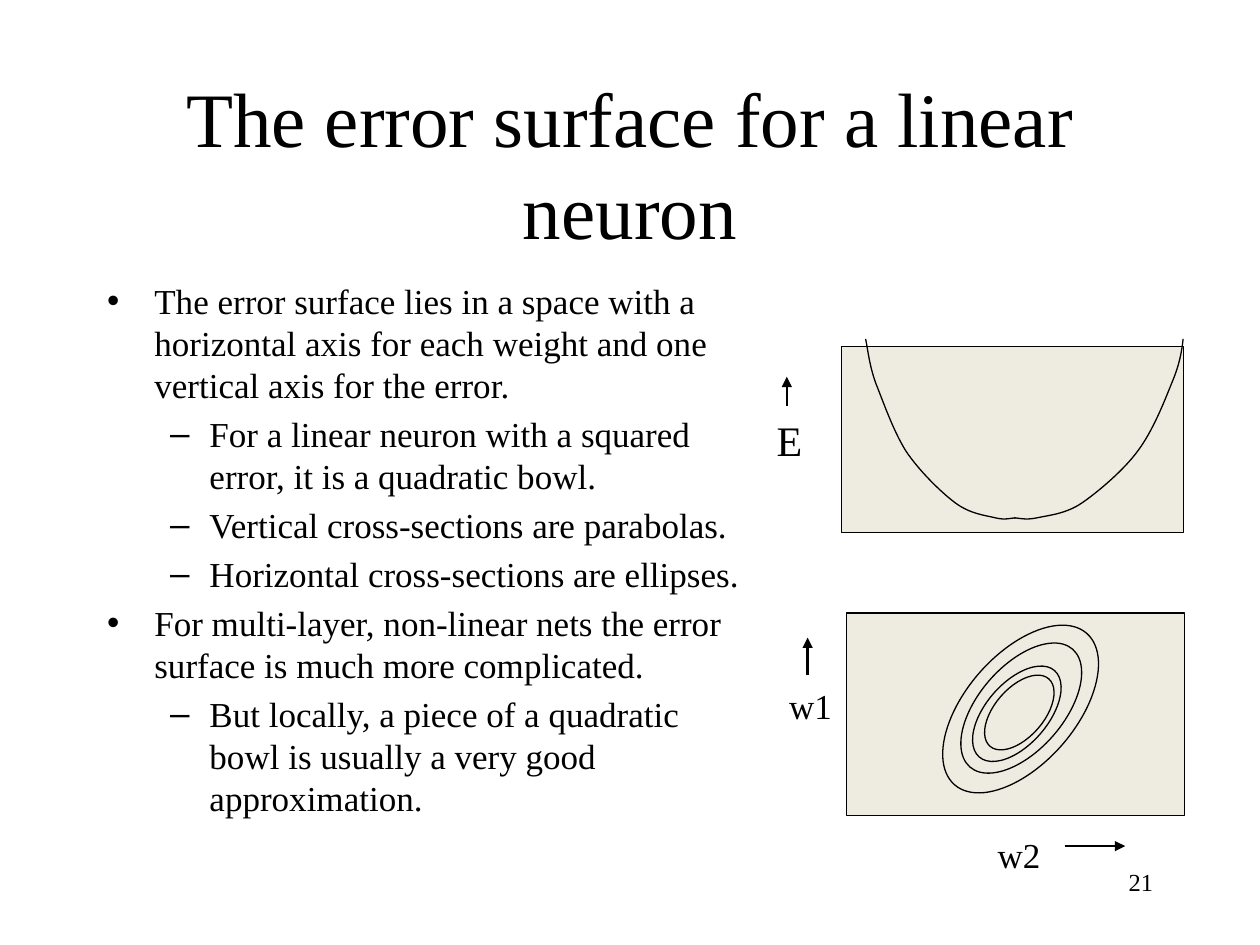
from dataclasses import dataclass
from typing import NamedTuple

from lxml.etree import SubElement
from pptx import Presentation
from pptx.dml.color import RGBColor
from pptx.enum.shapes import MSO_CONNECTOR, MSO_SHAPE
from pptx.enum.text import MSO_ANCHOR, MSO_AUTO_SIZE, PP_ALIGN
from pptx.oxml.ns import qn
from pptx.util import Inches, Pt


@dataclass(frozen=True)
class Theme:
    """Colours, font, type sizes and line widths of the slide."""
    font: str = "Times New Roman"
    ink: RGBColor = RGBColor(0, 0, 0)
    panel: RGBColor = RGBColor(0xEE, 0xEC, 0xE1)
    title: int = 44
    error_label: int = 24
    body: int = 20
    number: int = 14
    outline: float = 0.75
    arrow: float = 1.5


class Box(NamedTuple):
    """Left, top, width and height in grid columns and rows."""
    left: float
    top: float
    width: float
    height: float


class Label(NamedTuple):
    """A short axis label and its type size."""
    text: str
    box: Box
    size: int


class Arrow(NamedTuple):
    """Start and end of an axis arrow in grid columns and rows."""
    start: tuple[float, float]
    end: tuple[float, float]


THEME = Theme()
COLUMNS, ROWS = 100, 75
WIDTH, HEIGHT = Inches(10), Inches(7.5)
ELLIPSE_TILT = 41.1

BULLETS = [
    (0, "The error surface lies in a space with a horizontal axis for each weight and one vertical axis for the error."),
    (1, "For a linear neuron with a squared error, it is a quadratic bowl."),
    (1, "Vertical cross-sections are parabolas."),
    (1, "Horizontal cross-sections are ellipses."),
    (0, "For multi-layer, non-linear nets the error surface is much more complicated."),
    (1, "But locally, a piece of a quadratic bowl is usually a very good approximation."),
]
ERROR_PANEL = Box(66.8, 27.5, 27.15, 14.75)
WEIGHT_PANEL = Box(67.2, 48.65, 26.8, 16.1)
ELLIPSES = [Box(76.65, 48.3, 8.7, 15.95), Box(77.7, 50, 6.7, 12.4),
            Box(78.25, 52.1, 4.9, 9.1), Box(78.95, 53, 3.9, 7.1)]
ERROR_LABEL = Label("E", Box(60.65, 32.4, 4.3, 5), THEME.error_label)
WEIGHT_LABELS = [
    Label("w1", Box(61.65, 53.85, 5.7, 4.4), THEME.body),
    Label("w2", Box(78.2, 65.65, 5.7, 4.4), THEME.body),
]
ERROR_ARROW = Arrow((62.45, 32.2), (62.45, 29.9))
WEIGHT_ARROWS = [Arrow((64.1, 53.6), (64.1, 50.6)), Arrow((84.5, 67.15), (89.3, 67.15))]
CURVE_HEIGHTS = [26.9, 27.9, 29, 30.4, 31.9, 34.2, 35.8, 37.3, 39, 39.9, 40.8, 40.9, 41.1, 41.3, 41.1, 41.1]
BOWL_SIDES = [
    [68.7, 68.9, 69, 69.5, 70.1, 70.9, 71.9, 72.9, 74.6, 75.8, 77, 78.2, 79, 79.8, 80.3, 80.6],
    [93.9, 93.8, 93.6, 93, 92.4, 91.5, 90.3, 89.2, 87.2, 85.9, 84.6, 83.2, 82.3, 81.4, 80.8, 80.5],
]


def across(columns: float) -> int:
    """Convert grid columns to a slide length."""
    return round(WIDTH * columns / COLUMNS)


def down(rows: float) -> int:
    """Convert grid rows to a slide length."""
    return round(HEIGHT * rows / ROWS)


def place(box: Box) -> tuple[int, int, int, int]:
    """Convert a grid box to slide lengths."""
    return across(box.left), down(box.top), across(box.width), down(box.height)


def move(shape, box: Box) -> None:
    """Move and size a shape to a grid box."""
    shape.left, shape.top, shape.width, shape.height = place(box)


def format_text(text_frame, size: int, alignment: PP_ALIGN) -> None:
    """Format every run in a text frame."""
    for paragraph in text_frame.paragraphs:
        paragraph.alignment = alignment
        for run in paragraph.runs:
            run.font.name = THEME.font
            run.font.size = Pt(size)
            run.font.color.rgb = THEME.ink


def outline(shape) -> None:
    """Give a shape the thin dark outline and no shadow."""
    shape.shadow.inherit = False
    shape.line.color.rgb = THEME.ink
    shape.line.width = Pt(THEME.outline)


def add_title(slide) -> None:
    """Fill and place the title placeholder."""
    title = slide.shapes.title
    move(title, Box(7.5, 6.67, 85, 12.5))
    title.text_frame.text = "The error surface for a linear neuron"
    title.text_frame.auto_size = MSO_AUTO_SIZE.NONE
    title.text_frame.vertical_anchor = MSO_ANCHOR.MIDDLE
    format_text(title.text_frame, THEME.title, PP_ALIGN.CENTER)


def add_bullets(slide) -> None:
    """Fill and place the body placeholder."""
    body = slide.placeholders[1]
    move(body, Box(7.5, 21.67, 53.33, 45))
    text_frame = body.text_frame
    text_frame.text = "\n".join(text for _, text in BULLETS)
    text_frame.auto_size = MSO_AUTO_SIZE.NONE
    for paragraph, (level, _) in zip(text_frame.paragraphs, BULLETS):
        paragraph.level = level
    format_text(text_frame, THEME.body, PP_ALIGN.LEFT)


def add_label(slide, label: Label) -> None:
    """Add an unwrapped axis label."""
    text_frame = slide.shapes.add_textbox(*place(label.box)).text_frame
    text_frame.text = label.text
    text_frame.word_wrap = False
    text_frame.auto_size = MSO_AUTO_SIZE.SHAPE_TO_FIT_TEXT
    format_text(text_frame, label.size, PP_ALIGN.LEFT)


def add_number(slide) -> None:
    """Add the slide number at the lower right."""
    text_frame = slide.shapes.add_textbox(*place(Box(71.67, 68.33, 20.83, 5))).text_frame
    text_frame.text = "21"
    text_frame.word_wrap = True
    format_text(text_frame, THEME.number, PP_ALIGN.RIGHT)


def add_filled(slide, preset: MSO_SHAPE, box: Box, rotation: float = 0) -> None:
    """Add an outlined shape in the panel colour."""
    shape = slide.shapes.add_shape(preset, *place(box))
    shape.rotation = rotation
    shape.fill.solid()
    shape.fill.fore_color.rgb = THEME.panel
    outline(shape)


def add_arrow(slide, arrow: Arrow) -> None:
    """Add an axis arrow with a triangular head."""
    (start_x, start_y), (end_x, end_y) = arrow
    connector = slide.shapes.add_connector(
        MSO_CONNECTOR.STRAIGHT, across(start_x), down(start_y), across(end_x), down(end_y))
    connector.line.color.rgb = THEME.ink
    connector.line.width = Pt(THEME.arrow)
    SubElement(connector.line._get_or_add_ln(), qn("a:tailEnd"), type="triangle")
    SubElement(connector._element.spPr, qn("a:effectLst"))


def bend_segments(shape) -> None:
    """Turn each three line segments of a freeform into one cubic curve."""
    segments = list(shape._element.iter(qn("a:lnTo")))
    outline_element = segments[0].getparent()
    for first in range(0, len(segments), 3):
        curve = SubElement(outline_element, qn("a:cubicBezTo"))
        for segment in segments[first:first + 3]:
            curve.append(segment[0])
            outline_element.remove(segment)


def add_bowl_side(slide, columns: list[float]) -> None:
    """Draw one side of the parabola from its control points."""
    start, *controls = [(across(column), down(row)) for column, row in zip(columns, CURVE_HEIGHTS)]
    builder = slide.shapes.build_freeform(*start)
    builder.add_line_segments(controls, close=False)
    side = builder.convert_to_shape()
    bend_segments(side)
    side.fill.background()
    outline(side)


def main() -> None:
    """Build and save the slide."""
    presentation = Presentation()
    presentation.slide_width, presentation.slide_height = WIDTH, HEIGHT
    slide = presentation.slides.add_slide(presentation.slide_layouts[1])
    add_title(slide)
    add_bullets(slide)
    add_number(slide)
    add_filled(slide, MSO_SHAPE.RECTANGLE, ERROR_PANEL)
    for columns in BOWL_SIDES:
        add_bowl_side(slide, columns)
    add_label(slide, ERROR_LABEL)
    add_arrow(slide, ERROR_ARROW)
    add_filled(slide, MSO_SHAPE.RECTANGLE, WEIGHT_PANEL)
    for label in WEIGHT_LABELS:
        add_label(slide, label)
    for arrow in WEIGHT_ARROWS:
        add_arrow(slide, arrow)
    for ellipse in ELLIPSES:
        add_filled(slide, MSO_SHAPE.OVAL, ellipse, ELLIPSE_TILT)
    presentation.save("out.pptx")


if __name__ == "__main__":
    main()
